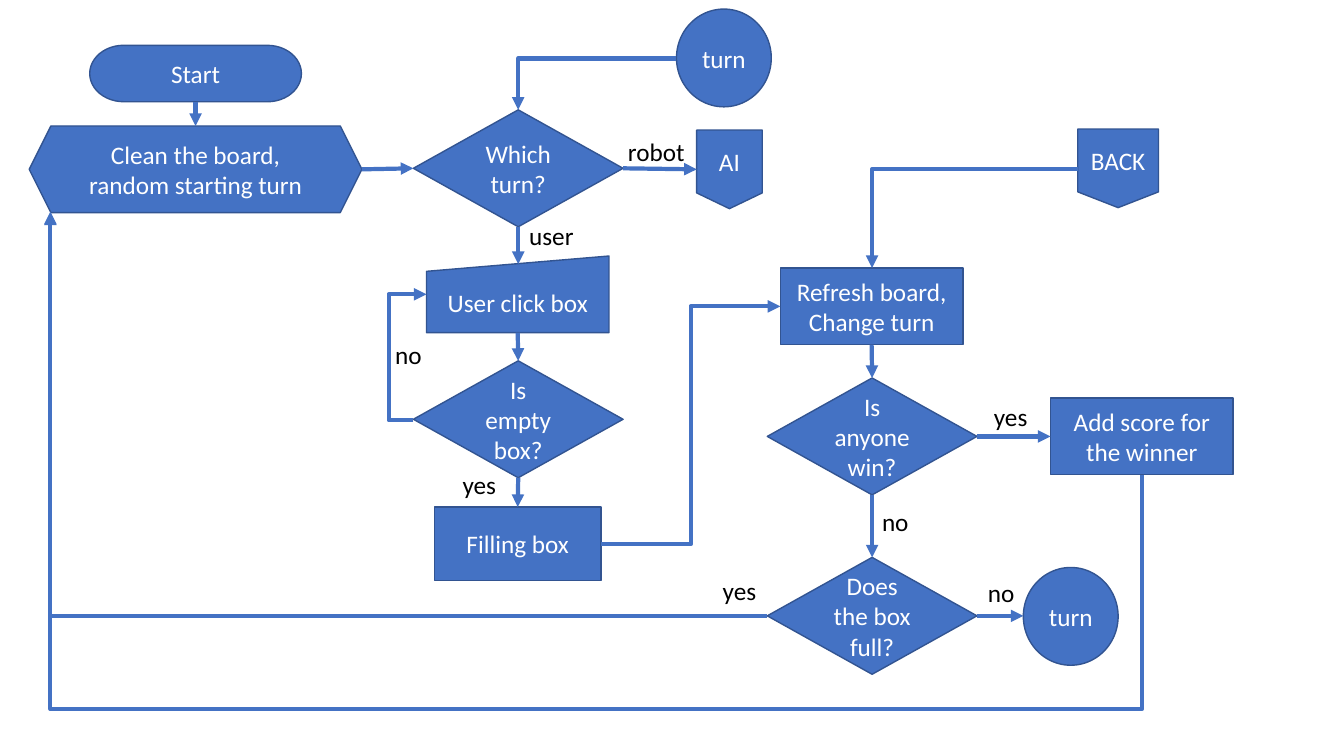
import pptx
import pptx.dml.color
import pptx.enum.shapes
import pptx.enum.text
import pptx.oxml
import pptx.oxml.ns
import pptx.util

Inches = pptx.util.Inches
SHAPE = pptx.enum.shapes.MSO_SHAPE
CONNECTOR = pptx.enum.shapes.MSO_CONNECTOR
ALIGN = pptx.enum.text.PP_ALIGN
ANCHOR = pptx.enum.text.MSO_ANCHOR
COLORS = {"blue": "4472C4", "outline": "325491", "white": "FFFFFF", "black": "000000"}
TOP, LEFT, BOTTOM, RIGHT = range(4)

presentation = pptx.Presentation()
presentation.slide_width = Inches(13.33)
presentation.slide_height = Inches(7.5)
slide = presentation.slides.add_slide(presentation.slide_layouts[6])


def write_text(shape, text, color="white", align=ALIGN.CENTER, anchor=ANCHOR.MIDDLE, wrap=True):
    frame = shape.text_frame
    frame.text = text
    frame.word_wrap = wrap
    frame.vertical_anchor = anchor
    for paragraph in frame.paragraphs:
        paragraph.alignment = align
        font = paragraph.runs[0].font
        font.name = "Calibri"
        font.size = pptx.util.Pt(18)
        font.color.rgb = pptx.dml.color.RGBColor.from_string(COLORS[color])


def add_arrow(kind, begin, end):
    """Add a thick blue connector with a triangle at its end."""
    connector = slide.shapes.add_connector(kind, *map(Inches, begin + end))
    connector.line.color.rgb = pptx.dml.color.RGBColor.from_string(COLORS["blue"])
    connector.line.width = pptx.util.Pt(3)
    namespace = pptx.oxml.ns.nsdecls("a")
    line = connector.line._get_or_add_ln()
    line.append(pptx.oxml.parse_xml(f'<a:tailEnd {namespace} type="triangle"/>'))
    connector._element.spPr.append(pptx.oxml.parse_xml(f"<a:effectLst {namespace}/>"))
    return connector


decision_size = (2.08, 1.16)
process_size = (1.81, 0.76)
turn_size = (0.94, 0.97)
steps = {
    "start": (SHAPE.FLOWCHART_TERMINATOR, (0.89, 0.45), (2.1, 0.56), "Start"),
    "clean": (SHAPE.HEXAGON, (0.29, 1.25), (3.3, 0.86), "Clean the board, random starting turn"),
    "click": (SHAPE.FLOWCHART_MANUAL_INPUT, (4.23, 2.54), process_size, "User click box"),
    "empty": (SHAPE.FLOWCHART_DECISION, (4.1, 3.58), decision_size, "Is empty box?"),
    "filling": (SHAPE.RECTANGLE, (4.31, 5.03), (1.65, 0.73), "Filling box"),
    "which": (SHAPE.FLOWCHART_DECISION, (4.1, 1.09), decision_size, "Which turn?"),
    "refresh": (SHAPE.RECTANGLE, (7.74, 2.66), process_size, "Refresh board,\nChange turn"),
    "win": (SHAPE.FLOWCHART_DECISION, (7.61, 3.75), decision_size, "Is anyone win?"),
    "full": (SHAPE.FLOWCHART_DECISION, (7.61, 5.53), decision_size, "Does the box full?"),
    "score": (SHAPE.RECTANGLE, (10.42, 3.95), process_size, "Add score for the winner"),
    "back": (SHAPE.FLOWCHART_OFFPAGE_CONNECTOR, (10.69, 1.28), (0.8, 0.78), "BACK"),
    "ai": (SHAPE.FLOWCHART_OFFPAGE_CONNECTOR, (6.91, 1.29), (0.65, 0.78), "AI"),
    "turn_out": (SHAPE.FLOWCHART_CONNECTOR, (10.15, 5.63), turn_size, "turn"),
    "turn_in": (SHAPE.FLOWCHART_CONNECTOR, (6.71, 0.09), turn_size, "turn"),
}
shapes = {}
for name, (kind, position, size, text) in steps.items():
    shape = slide.shapes.add_shape(kind, *map(Inches, position + size))
    shape.shadow.inherit = False
    shape.fill.solid()
    shape.fill.fore_color.rgb = pptx.dml.color.RGBColor.from_string(COLORS["blue"])
    shape.line.color.rgb = pptx.dml.color.RGBColor.from_string(COLORS["outline"])
    shape.line.width = pptx.util.Pt(1)
    write_text(shape, text)
    shapes[name] = shape

# Straight arrows: begin, end, and the (step, side) joined at each end
straight_arrows = [
    ((1.94, 1.01), (1.94, 1.25), ("start", BOTTOM), None),
    ((3.59, 1.68), (4.1, 1.68), None, ("which", LEFT)),
    ((5.14, 2.25), (5.14, 2.62), ("which", BOTTOM), None),
    ((5.14, 3.3), (5.14, 3.58), ("click", BOTTOM), ("empty", TOP)),
    ((5.14, 4.74), (5.14, 5.03), ("empty", BOTTOM), ("filling", TOP)),
    ((8.65, 3.42), (8.65, 3.75), ("refresh", BOTTOM), ("win", TOP)),
    ((8.65, 4.91), (8.65, 5.53), ("win", BOTTOM), ("full", TOP)),
    ((9.69, 4.33), (10.42, 4.33), ("win", RIGHT), ("score", LEFT)),
    ((9.69, 6.11), (10.15, 6.11), ("full", RIGHT), None),
    ((6.18, 1.68), (6.91, 1.68), ("which", RIGHT), ("ai", LEFT)),
]
for begin, end, source, target in straight_arrows:
    arrow = add_arrow(CONNECTOR.STRAIGHT, begin, end)
    if source:
        arrow.begin_connect(shapes[source[0]], source[1])
    if target:
        arrow.end_connect(shapes[target[0]], target[1])

# Elbow arrows: begin, end, bend position (None for a single corner), rotation
elbow_arrows = [
    ((4.1, 4.17), (4.23, 2.92), -1.89, 0),
    ((5.96, 5.4), (7.74, 3.04), 0.5, 0),
    ((7.61, 6.11), (0.5, 2.11), None, 0),
    ((7.22, -2.01), (4.61, 8.82), -0.89, 90),
    ((6.71, 0.58), (5.14, 1.09), None, 0),
    ((10.69, 1.68), (8.65, 2.66), None, 0),
]
for begin, end, bend, rotation in elbow_arrows:
    arrow = add_arrow(CONNECTOR.ELBOW, begin, end)
    arrow.rotation = rotation
    geometry = arrow._element.spPr.find(pptx.oxml.ns.qn("a:prstGeom"))
    if bend is None:
        geometry.set("prst", "bentConnector2")
    else:
        guide = geometry.get_or_add_avLst()._add_gd()
        guide.set("name", "adj1")
        guide.set("fmla", f"val {round(bend * 100000)}")

labels = [
    ("no", 3.82, 3.32, 0.47),
    ("yes", 4.49, 4.61, 0.54),
    ("yes", 9.76, 3.93, 0.54),
    ("no", 8.65, 4.97, 0.47),
    ("yes", 7.07, 5.66, 0.54),
    ("no", 9.7, 5.68, 0.47),
    ("user", 5.15, 2.14, 0.65),
    ("robot", 6.13, 1.3, 0.77),
]
for text, left, top, width in labels:
    label = slide.shapes.add_textbox(*map(Inches, (left, top, width, 0.4)))
    write_text(label, text, color="black", align=ALIGN.LEFT, anchor=ANCHOR.TOP, wrap=False)

presentation.save("out.pptx")
